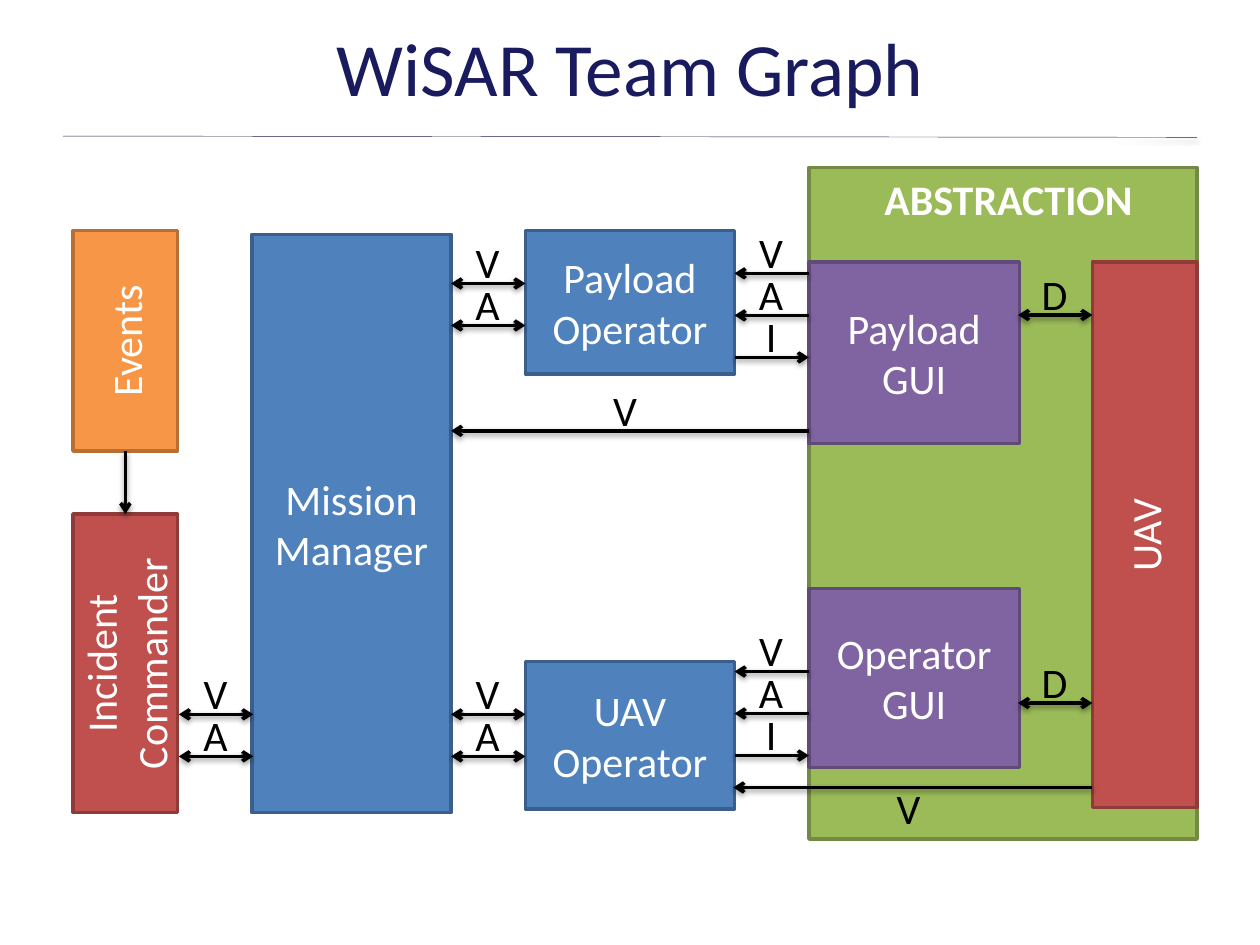
from lxml.etree import SubElement
from pptx import Presentation
from pptx.dml.color import RGBColor
from pptx.enum.shapes import MSO_CONNECTOR as CONNECTOR, MSO_SHAPE as SHAPE
from pptx.enum.text import MSO_ANCHOR as ANCHOR, MSO_AUTO_SIZE as AUTO_SIZE, PP_ALIGN as ALIGN
from pptx.oxml.ns import qn
from pptx.util import Inches, Pt

COLORS = {
    "title": "191B5E", "rule": "1A1C47", "white": "FFFFFF", "black": "000000",
    "green": "9BBB59", "green_edge": "738A42", "red": "C0504D", "red_edge": "8E3B39",
    "purple": "8064A2", "purple_edge": "5F4A78", "blue": "4F81BD", "blue_edge": "3A5F8C",
    "orange": "F79646", "orange_edge": "B76F34",
}
FONT = "Calibri"
LINK_GAP = 1 / 3
LINK_WIDTH = 0.59
LABEL_RISE = 0.42
LABEL_WIDTH, LABEL_HEIGHT = 0.58, 0.5


def color(name):
    """Return the named colour."""
    return RGBColor.from_string(COLORS[name])


def format_text(text_frame, color_name, size=24, align=ALIGN.CENTER, bold=False):
    """Apply one font and alignment to every paragraph."""
    for paragraph in text_frame.paragraphs:
        paragraph.alignment = align
        font = paragraph.font
        font.name, font.size, font.bold = FONT, Pt(size), bold
        font.color.rgb = color(color_name)


def draw_line(slide, start, end, color_name="black", width=2, heads=""):
    """Draw a shadowed line with arrowheads at the ends named by '<' and '>'."""
    line = slide.shapes.add_connector(CONNECTOR.STRAIGHT, *map(Inches, start + end))
    line.line.color.rgb = color(color_name)
    line.line.width = Pt(width)
    outline = line.line._get_or_add_ln()
    for mark, tag in (("<", "a:headEnd"), (">", "a:tailEnd")):
        if mark in heads:
            SubElement(outline, qn(tag), type="arrow")
    effects = SubElement(line._element.spPr, qn("a:effectLst"))
    shadow = SubElement(effects, qn("a:outerShdw"), blurRad="40000", dist="20000",
                        dir="5400000", rotWithShape="0")
    shade = SubElement(shadow, qn("a:srgbClr"), val=COLORS["black"])
    SubElement(shade, qn("a:alpha"), val="38000")


def draw_box(slide, box, fill, text="", vertical=False):
    """Draw a filled block with centred white text."""
    shape = slide.shapes.add_shape(SHAPE.RECTANGLE, *map(Inches, box))
    shape.shadow.inherit = False
    shape.fill.solid()
    shape.fill.fore_color.rgb = color(fill)
    shape.line.color.rgb = color(f"{fill}_edge")
    shape.line.width = Pt(2)
    text_frame = shape.text_frame
    text_frame.word_wrap = True
    text_frame.vertical_anchor = ANCHOR.MIDDLE
    text_frame.text = text
    format_text(text_frame, "white")
    if vertical:
        text_frame._txBody.bodyPr.set("vert", "vert270")


def draw_label(slide, left, top, text, width=LABEL_WIDTH, **style):
    """Draw a one-line text box."""
    label = slide.shapes.add_textbox(*map(Inches, (left, top, width, LABEL_HEIGHT)))
    text_frame = label.text_frame
    text_frame.word_wrap = True
    text_frame.auto_size = AUTO_SIZE.SHAPE_TO_FIT_TEXT
    text_frame.text = text
    format_text(text_frame, **{"color_name": "black", **style})


def draw_links(slide, left, top, links):
    """Draw evenly stacked short arrows, each under its letter."""
    for index, (letter, heads) in enumerate(links):
        y = top + index * LINK_GAP
        draw_line(slide, (left, y), (left + LINK_WIDTH, y), heads=heads)
        draw_label(slide, left, y - LABEL_RISE, letter)


def draw_title(slide, box):
    """Place the slide title and the rule under it."""
    left, top, width, height = box
    title = slide.shapes.title
    title.left, title.top, title.width, title.height = map(Inches, box)
    title.text_frame.text = "WiSAR Team Graph"
    title.text_frame.vertical_anchor = ANCHOR.MIDDLE
    title.text_frame.paragraphs[0].line_spacing = Pt(40)
    format_text(title.text_frame, "title", 43)
    bottom = top + height
    draw_line(slide, (left, bottom), (left + width, bottom + 0.01), "rule", 0.25)


def draw_abstraction(slide, box):
    """Draw the abstraction area with both GUIs and the UAV."""
    left, top, width, height = box
    draw_box(slide, box, "green")
    draw_box(slide, (left, top + 0.75, 1.67, 1.44), "purple", "Payload\nGUI")
    draw_box(slide, (left, top + 3.34, 1.67, 1.42), "purple", "Operator\nGUI")
    draw_box(slide, (left + 2.25, top + 0.75, 0.83, 4.33), "red", "UAV", vertical=True)
    draw_label(slide, left + 0.5, top, "ABSTRACTION", 2.25,
               color_name="white", align=ALIGN.LEFT, bold=True)
    for y in (1.17, 4.25):
        draw_links(slide, left + 1.66, top + y, [("D", "<>")])


def draw_command(slide, box):
    """Draw the events block feeding the incident commander."""
    left, top, width, height = box
    center = left + width / 2
    draw_box(slide, (left, top, width, 1.75), "orange", "Events", vertical=True)
    draw_box(slide, (left, top + 2.25, width, height - 2.25), "red",
             "Incident Commander", vertical=True)
    draw_line(slide, (center, top + 1.75), (center, top + 2.25), heads=">")


def draw_team(slide, box):
    """Draw the mission manager and the two operators."""
    left, top, width, height = box
    operator_left, operator_width = left + width - 1.66, 1.66
    draw_box(slide, (left, top + 0.03, 1.58, height - 0.03), "blue", "Mission Manager")
    draw_box(slide, (operator_left, top, operator_width, 1.14), "blue", "Payload Operator")
    draw_box(slide, (operator_left, top + 3.42, operator_width, 1.17), "blue", "UAV Operator")


def draw_exchanges(slide, box):
    """Draw the links that join the columns of the graph."""
    left, top, width, height = box
    shared = [("V", "<>"), ("A", "<>")]
    interface = [("V", "<"), ("A", "<"), ("I", ">")]
    groups = [(0, 3.84, shared), (2.16, 0.42, shared), (2.16, 3.84, shared),
              (4.41, 0.34, interface), (4.41, 3.5, interface)]
    for x, y, links in groups:
        draw_links(slide, left + x, top + y, links)
    manager_y, uav_y = top + 1.59, top + 4.42
    draw_line(slide, (left + 2.16, manager_y), (left + 5, manager_y), heads="<")
    draw_label(slide, left + 3.25, manager_y - LABEL_RISE, "V")
    draw_line(slide, (left + 4.4, uav_y), (left + width, uav_y), heads="<")
    draw_label(slide, left + 5.5, uav_y - 0.09, "V")


def main():
    """Build and save the slide."""
    presentation = Presentation()
    presentation.slide_width, presentation.slide_height = Inches(10), Inches(7.5)
    slide = presentation.slides.add_slide(presentation.slide_layouts[5])
    draw_title(slide, (0.5, 0.14, 9, 0.94))
    draw_abstraction(slide, (6.42, 1.33, 3.08, 5.33))
    draw_command(slide, (0.58, 1.83, 0.83, 4.62))
    draw_team(slide, (2, 1.83, 3.83, 4.62))
    draw_exchanges(slide, (1.42, 1.83, 7.25, 4.62))
    presentation.save("out.pptx")


if __name__ == "__main__":
    main()
